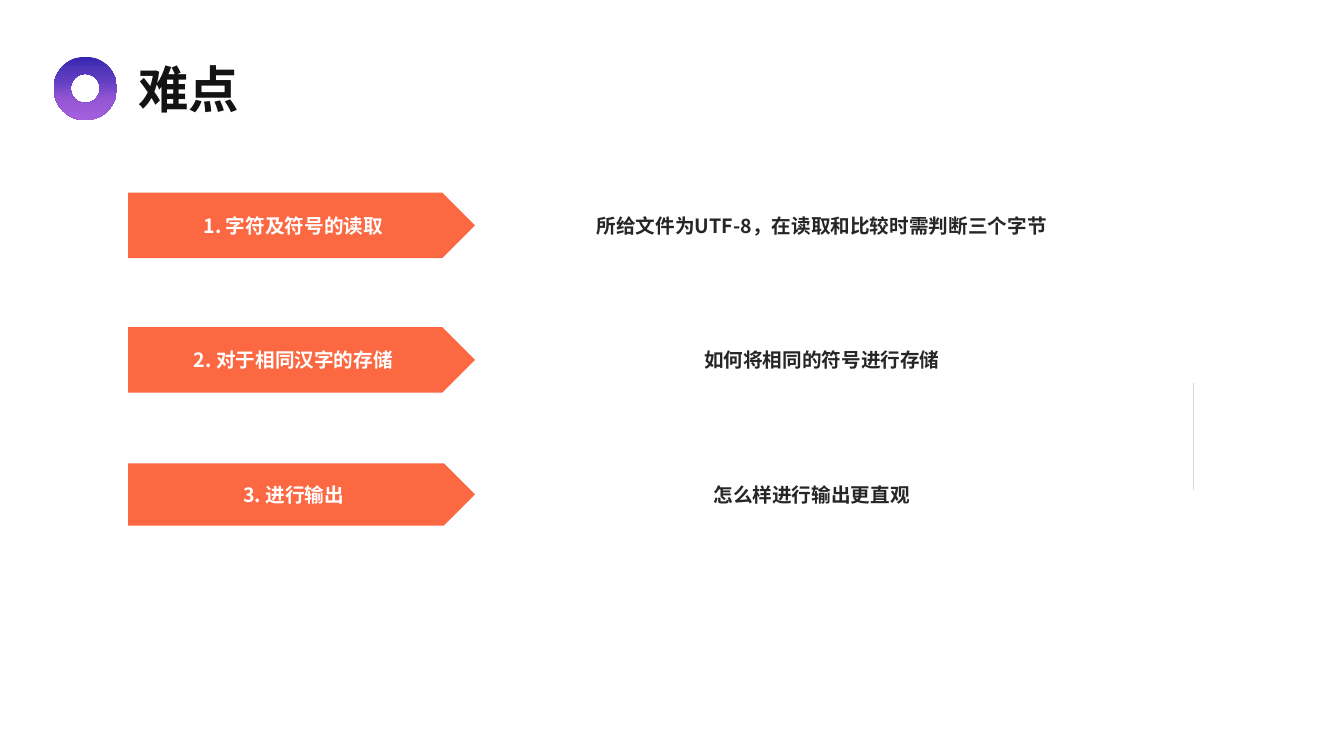
from copy import deepcopy
from lxml import etree
from pptx import Presentation
from pptx import util as u
from pptx.dml.color import RGBColor
from pptx.enum import shapes, text
from pptx.oxml.ns import qn

FONT = "Noto Sans CJK SC"
COLORS = {"arrow": "FC6841", "label": "FFFFFF", "note": "262626",
          "title": "131313", "rule": "D9D9D9"}
RING_STOPS = [(0, "3323B1"), (0.18, "4F35B9"), (0.38, "613EC2"),
              (0.67, "9456D4"), (1, "A561DC")]


def write(shape, words, size, color, align):
    frame = shape.text_frame
    frame.word_wrap = False
    frame.auto_size = text.MSO_AUTO_SIZE.NONE
    frame.vertical_anchor = text.MSO_ANCHOR.MIDDLE
    para = frame.paragraphs[0]
    para.text = words
    para.alignment = align
    para.font.size = u.Pt(size)
    para.font.bold = True
    para.font.color.rgb = RGBColor.from_string(COLORS[color])
    para.font.name = FONT
    # Chinese characters take the East Asian typeface
    for latin in shape.element.iter(qn("a:latin")):
        east_asian = etree.Element(qn("a:ea"), typeface=FONT)
        latin.addnext(east_asian)


deck = Presentation()
deck.slide_width, deck.slide_height = u.Cm(33.87), u.Cm(19.05)
page = deck.slides.add_slide(deck.slide_layouts[5])

# Vertical rule at the right
rule = page.shapes.add_connector(shapes.MSO_CONNECTOR.STRAIGHT,
                                 u.Cm(30.08), u.Cm(9.65), u.Cm(30.08), u.Cm(12.34))
rule.line.color.rgb = RGBColor.from_string(COLORS["rule"])
rule.line.width = u.Pt(0.5)
etree.SubElement(rule.element.spPr, qn("a:effectLst"))

# Difficulties: label, arrow height, note, note left, note width, note height
rows = [
    ("1. 字符及符号的读取", 1.65, "所给文件为UTF-8，在读取和比较时需判断三个字节", 12.62, 16.18, 1.07),
    ("2. 对于相同汉字的存储", 1.65, "如何将相同的符号进行存储", 15.09, 11.25, 1.32),
    ("3. 进行输出", 1.57, "怎么样进行输出更直观", 14.83, 11.25, 1.32),
]
for index, (label, height, note, left, width, note_height) in enumerate(rows):
    middle = 5.68 + 3.39 * index
    arrow = page.shapes.add_shape(shapes.MSO_SHAPE.PENTAGON, u.Cm(3.23),
                                  u.Cm(middle - height / 2), u.Cm(8.74), u.Cm(height))
    arrow.shadow.inherit = False
    arrow.fill.solid()
    arrow.fill.fore_color.rgb = RGBColor.from_string(COLORS["arrow"])
    arrow.line.fill.background()
    write(arrow, label, 14, "label", text.PP_ALIGN.CENTER)

    box = page.shapes.add_textbox(u.Cm(left), u.Cm(middle - note_height / 2),
                                  u.Cm(width), u.Cm(note_height))
    frame = box.text_frame
    frame.margin_left = frame.margin_right = frame.margin_top = frame.margin_bottom = 0
    write(box, note, 14, "note", text.PP_ALIGN.CENTER)

# Title
title = page.shapes.title
title.left, title.top, title.width, title.height = u.Cm(3.23), u.Cm(1.32), u.Cm(3.05), u.Cm(1.8)
write(title, "难点", 36, "title", text.PP_ALIGN.LEFT)

# Gradient ring beside the title
ring = page.shapes.add_shape(shapes.MSO_SHAPE.DONUT, u.Cm(1.35), u.Cm(1.43), u.Cm(1.6), u.Cm(1.6))
ring.adjustments[0] = 0.27
ring.shadow.inherit = False
ring.line.fill.background()
ring.fill.gradient()
ring.fill.gradient_angle = 270
stop_list = ring.element.spPr.find(".//" + qn("a:gsLst"))
while len(stop_list) < len(RING_STOPS):
    stop_list.append(deepcopy(stop_list[0]))
for stop, (position, color) in zip(ring.fill.gradient_stops, RING_STOPS):
    stop.position = position
    stop.color.rgb = RGBColor.from_string(color)

deck.save("out.pptx")
